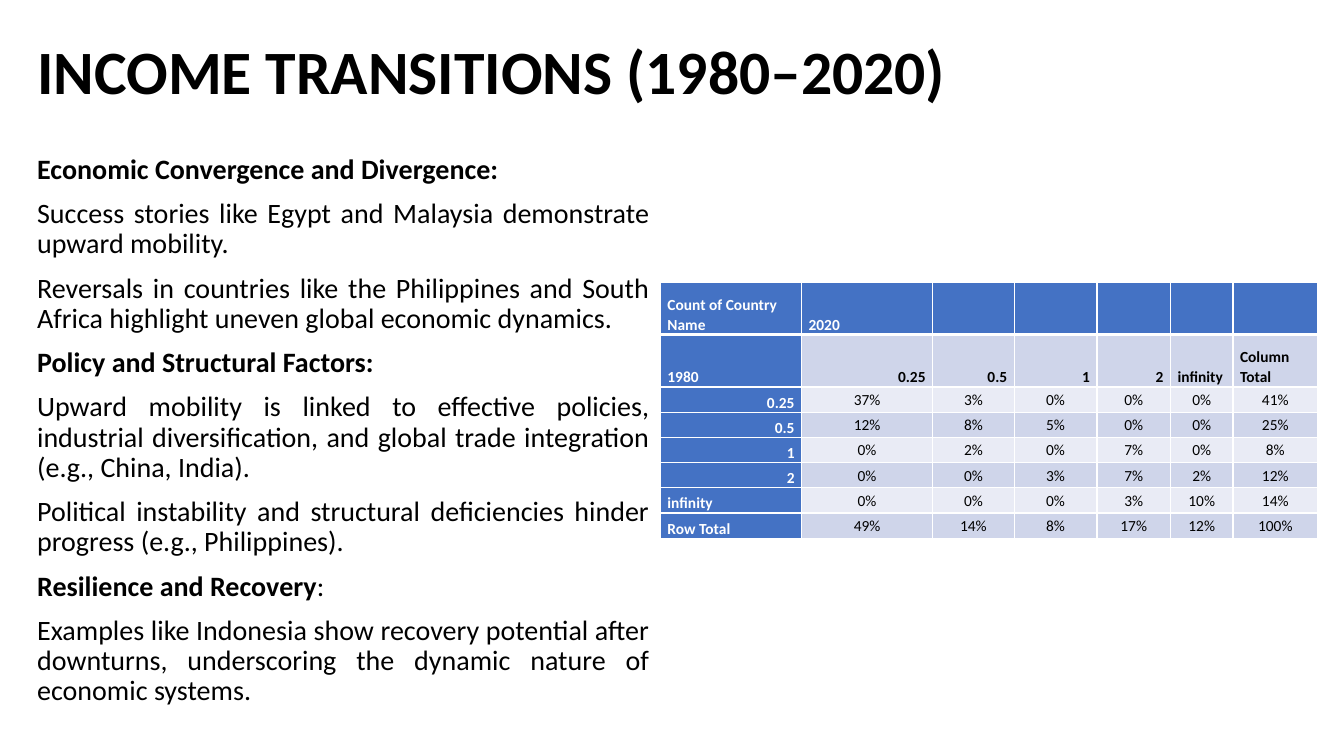
from lxml import etree
from pptx import Presentation
from pptx import util as u
from pptx.dml.color import RGBColor
from pptx.enum import text as t
from pptx.oxml.ns import qn

BLUE, PALE, LIGHT = "4472C4", "CFD5EA", "E9EBF5"
WHITE, BLACK = "FFFFFF", "000000"
ALIGN = {"l": t.PP_ALIGN.LEFT, "r": t.PP_ALIGN.RIGHT,
         "c": t.PP_ALIGN.CENTER, "j": t.PP_ALIGN.JUSTIFY}

POINTS = [
    [("Economic Convergence and Divergence:", True)],
    [("Success stories like Egypt and Malaysia demonstrate upward mobility.", False)],
    [("Reversals in countries like the Philippines and South Africa "
      "highlight uneven global economic dynamics.", False)],
    [("Policy and Structural Factors:", True)],
    [("Upward mobility is linked to effective policies, industrial diversification, "
      "and global trade integration (e.g., China, India).", False)],
    [("Political instability and structural deficiencies hinder progress "
      "(e.g., Philippines).", False)],
    [("Resilience and Recovery", True), (":", False)],
    [("Examples like Indonesia show recovery potential after downturns, "
      "underscoring the dynamic nature of economic systems.", False)],
]
ROWS = [
    ["Count of Country Name", "2020", "", "", "", "", ""],
    ["1980", "0.25", "0.5", "1", "2", "infinity", "Column Total"],
    ["0.25", "37%", "3%", "0%", "0%", "0%", "41%"],
    ["0.5", "12%", "8%", "5%", "0%", "0%", "25%"],
    ["1", "0%", "2%", "0%", "7%", "0%", "8%"],
    ["2", "0%", "0%", "3%", "7%", "2%", "12%"],
    ["infinity", "0%", "0%", "0%", "3%", "10%", "14%"],
    ["Row Total", "49%", "14%", "8%", "17%", "12%", "100%"],
]
WIDTHS = [1.4, 1.3, 0.81, 0.82, 0.73, 0.62, 0.84]


def color(code):
    return RGBColor.from_string(code)


def write(para, runs, size=20, ink=BLACK, align="l", line=0.9, before=0, after=0):
    para.alignment = ALIGN[align]
    para.line_spacing = line
    para.space_before = u.Pt(before)
    para.space_after = u.Pt(after)
    for words, bold in runs:
        run = para.add_run()
        run.text = words
        font = run.font
        font.name, font.size, font.bold = "Calibri", u.Pt(size), bold
        font.color.rgb = color(ink)


def place(shape, left, top, width, height):
    shape.left, shape.top = u.Inches(left), u.Inches(top)
    shape.width, shape.height = u.Inches(width), u.Inches(height)


def add_title(slide, words):
    title = slide.shapes.title
    place(title, 0.27, 0.4, 11.5, 0.68)
    frame = title.text_frame
    frame.auto_size = t.MSO_AUTO_SIZE.NONE
    frame.vertical_anchor = t.MSO_ANCHOR.MIDDLE
    write(frame.paragraphs[0], [(words, True)], size=44)


def add_body(slide):
    box = slide.shapes.add_textbox(*map(u.Inches, (0.27, 1.49, 6.27, 5.61)))
    frame = box.text_frame
    frame.word_wrap = True
    for i, runs in enumerate(POINTS):
        para = frame.add_paragraph() if i else frame.paragraphs[0]
        write(para, runs, align="j", before=10)


def edge(cell, side, width):
    props = cell._tc.get_or_add_tcPr()
    line = etree.SubElement(props, qn("a:ln" + side), w=str(u.Pt(width)))
    fill = etree.SubElement(line, qn("a:solidFill"))
    etree.SubElement(fill, qn("a:srgbClr"), val=WHITE)


def style(cell, row, col, words):
    head = row == 0 or col == 0
    data = row > 1 and col > 0
    for side in "LRTB":
        thick = (row, side) in ((0, "B"), (1, "T"))
        edge(cell, side, 3 if thick else 1)
    cell.fill.solid()
    cell.fill.fore_color.rgb = color(BLUE if head else PALE if row % 2 else LIGHT)
    if row > 1 and not head:
        cell.fill.fore_color.rgb = color(PALE if row % 2 else LIGHT)
    cell.margin_left = cell.margin_right = u.Inches(0.07)
    cell.margin_top = cell.margin_bottom = 0
    cell.vertical_anchor = t.MSO_ANCHOR.MIDDLE if data else t.MSO_ANCHOR.BOTTOM
    label = words in ("0.25", "0.5", "1", "2")
    if words:
        write(cell.text_frame.paragraphs[0], [(words, not data)], size=11,
              ink=WHITE if head else BLACK,
              align="c" if data else "r" if label else "l", line=1.07, after=8)


def add_grid(slide):
    area = map(u.Inches, (6.55, 2.8, sum(WIDTHS), 2.54))
    table = slide.shapes.add_table(len(ROWS), len(WIDTHS), *area).table
    for col, width in zip(table.columns, WIDTHS):
        col.width = u.Inches(width)
    for i, words in enumerate(ROWS):
        table.rows[i].height = u.Inches(0.52 if i < 2 else 0.25)
        for j, word in enumerate(words):
            style(table.cell(i, j), i, j, word)


def main():
    deck = Presentation()
    deck.slide_width, deck.slide_height = u.Inches(13.33), u.Inches(7.5)
    slide = deck.slides.add_slide(deck.slide_layouts[5])
    add_title(slide, "INCOME TRANSITIONS (1980–2020)")
    add_body(slide)
    add_grid(slide)
    deck.save("out.pptx")


if __name__ == "__main__":
    main()
